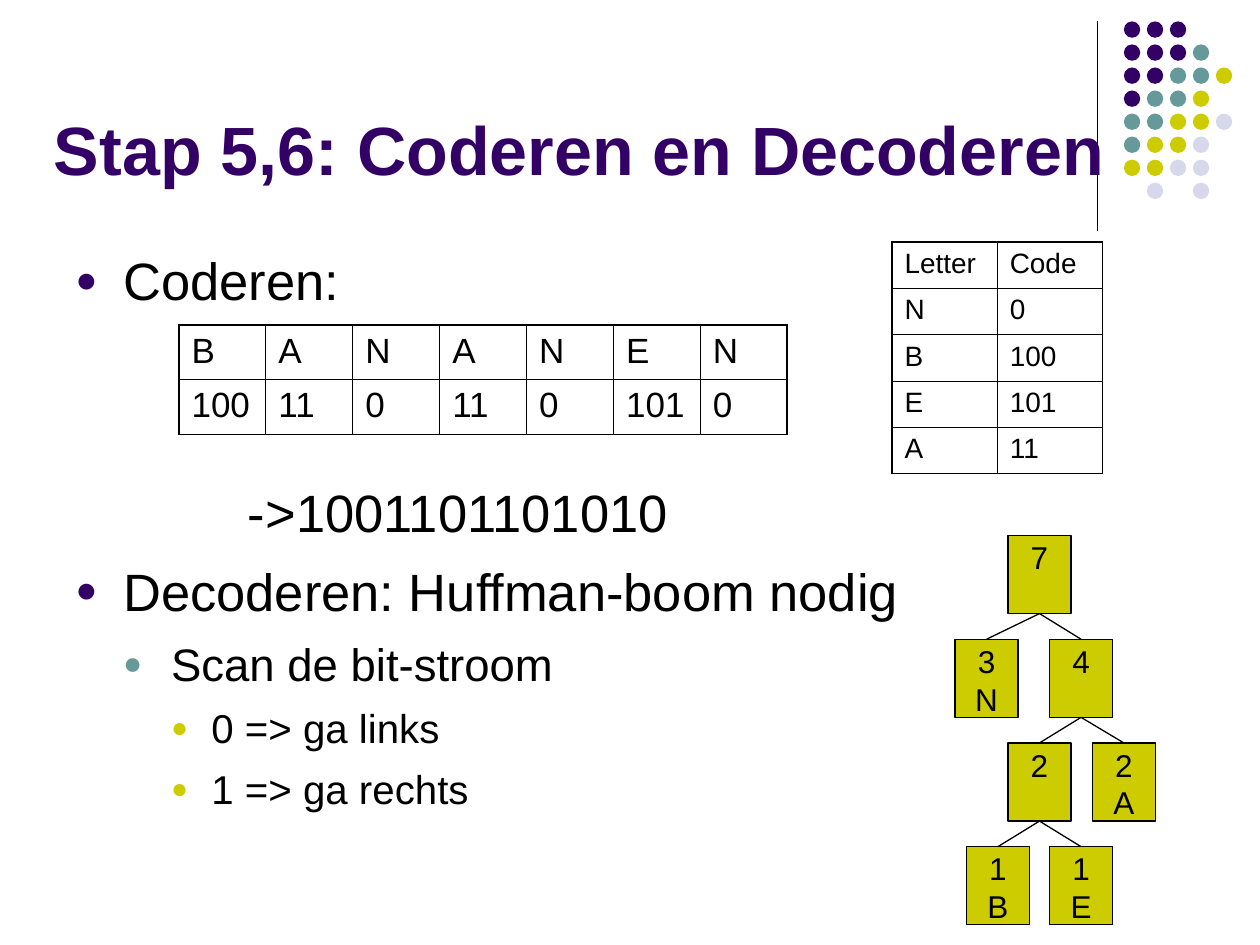
from lxml.etree import SubElement
from pptx import Presentation
from pptx.dml.color import RGBColor
from pptx.enum.shapes import MSO_CONNECTOR, MSO_SHAPE
from pptx.enum.text import MSO_ANCHOR, PP_ALIGN
from pptx.oxml.ns import qn
from pptx.util import Inches, Pt

PURPLE, TEAL, OLIVE, PALE, BLACK = "330066", "669999", "CCCC00", "D8D8EC", "000000"


def color(value):
    return RGBColor.from_string(value)


def box(left, top, width, height):
    return [Inches(v) for v in (left, top, width, height)]


def apply_format(target, values):
    for name, value in values.items():
        setattr(target, name, value)


def write(paragraph, text, size, ink=BLACK, bold=False):
    run = paragraph.add_run()
    run.text = text
    apply_format(run.font, {"name": "Arial", "size": Pt(size), "bold": bold})
    run.font.color.rgb = color(ink)


def add_line(slide, start, end):
    line = slide.shapes.add_connector(
        MSO_CONNECTOR.STRAIGHT, *[Inches(v) for v in (*start, *end)])
    line.line.color.rgb = color(BLACK)
    line.line.width = Pt(0.75)
    SubElement(line._element.spPr, qn("a:effectLst"))
    return line


def add_dots(slide, left, top, width, height):
    """Dot grid; each letter is the colour of one dot."""
    inks = {"P": PURPLE, "T": TEAL, "O": OLIVE, "L": PALE}
    rows = ["PPP", "PPPT", "PPTTO", "PTTO", "TTOOL", "TOOL", "OOLL", " L L"]
    size = 0.13
    step_x, step_y = (width - size) / 4, (height - size) / 7
    for r, row in enumerate(rows):
        for c, key in enumerate(row):
            if key == " ":
                continue
            dot = slide.shapes.add_shape(
                MSO_SHAPE.OVAL,
                *box(left + c * step_x, top + r * step_y, size, size))
            dot.shadow.inherit = False
            dot.fill.solid()
            dot.fill.fore_color.rgb = color(inks[key])
            dot.line.fill.background()


def add_title(slide, area):
    frame = slide.shapes.add_textbox(*box(*area)).text_frame
    apply_format(frame, {"word_wrap": True, "vertical_anchor": MSO_ANCHOR.BOTTOM})
    write(frame.paragraphs[0], "Stap 5,6: Coderen en Decoderen", 39, PURPLE, True)


def add_body(slide, area):
    # text, size, left margin, hanging indent, space before, bullet colour
    lines = [
        ("Coderen:", 30, 0.38, 0.38, 0, PURPLE),
        ("->1001101101010", 30, 1.37, 0, 96.4, None),
        ("Decoderen: Huffman-boom nodig", 30, 0.38, 0.38, 9, PURPLE),
        ("Scan de bit-stroom", 26, 0.76, 0.38, 8.4, TEAL),
        ("0 => ga links", 23, 1.08, 0.32, 7.3, OLIVE),
        ("1 => ga rechts", 23, 1.08, 0.32, 7.3, OLIVE),
    ]
    frame = slide.shapes.add_textbox(*box(*area)).text_frame
    frame.word_wrap = True
    for i, (text, size, margin, hanging, before, bullet) in enumerate(lines):
        paragraph = frame.add_paragraph() if i else frame.paragraphs[0]
        paragraph.space_before = Pt(before)
        props = paragraph._p.get_or_add_pPr()
        props.set("marL", str(Inches(margin)))
        props.set("indent", str(-Inches(hanging)))
        if bullet:
            ink = SubElement(props, qn("a:buClr"))
            SubElement(ink, qn("a:srgbClr"), val=bullet)
            SubElement(props, qn("a:buSzPct"), val="70000")
            SubElement(props, qn("a:buFont"), typeface="Arial")
            SubElement(props, qn("a:buChar"), char="●")
        write(paragraph, text, size)


def add_borders(cell, outer):
    props = cell._tc.get_or_add_tcPr()
    for side, is_outer in outer.items():
        edge = SubElement(props, qn("a:ln" + side), w=str(Pt(1.08 if is_outer else 0.45)))
        SubElement(SubElement(edge, qn("a:solidFill")), qn("a:srgbClr"), val=BLACK)


def add_grid(slide, area, rows, size):
    """Table of equal cells, with a heavier outer border."""
    last_row, last_col = len(rows) - 1, len(rows[0]) - 1
    table = slide.shapes.add_table(len(rows), len(rows[0]), *box(*area)).table
    apply_format(table, {"first_row": False, "horz_banding": False})
    for r, row in enumerate(rows):
        for c, text in enumerate(row):
            cell = table.cell(r, c)
            add_borders(cell, {"L": c == 0, "R": c == last_col,
                               "T": r == 0, "B": r == last_row})
            cell.fill.background()
            write(cell.text_frame.paragraphs[0], text, size)


def add_node(slide, area, labels):
    node = slide.shapes.add_shape(MSO_SHAPE.RECTANGLE, *box(*area))
    node.shadow.inherit = False
    node.fill.solid()
    node.fill.fore_color.rgb = color(OLIVE)
    node.line.color.rgb = color(BLACK)
    node.line.width = Pt(0.75)
    frame = node.text_frame
    apply_format(frame, {"word_wrap": False, "vertical_anchor": MSO_ANCHOR.TOP,
                         "margin_top": Inches(0.02), "margin_bottom": 0})
    for i, label in enumerate(labels):
        paragraph = frame.add_paragraph() if i else frame.paragraphs[0]
        paragraph.alignment = PP_ALIGN.CENTER
        write(paragraph, label, 18)
    return node


def add_tree(slide, left, top, width, height):
    """Huffman tree: name -> (offset from left, level, labels)."""
    node_w, node_h = 0.5, 0.62
    step = (height - node_h) / 3
    plan = {
        "root": (0.42, 0, "7"),
        "N": (0, 1, "3N"),
        "ABE": (0.75, 1, "4"),
        "BE": (0.42, 2, "2"),
        "A": (width - node_w, 2, "2A"),
        "B": (0.09, 3, "1B"),
        "E": (0.75, 3, "1E"),
    }
    nodes = {name: add_node(slide, (left + x, top + level * step, node_w, node_h), labels)
             for name, (x, level, labels) in plan.items()}
    children = {"root": ("N", "ABE"), "ABE": ("BE", "A"), "BE": ("B", "E")}
    for parent, pair in children.items():
        for child in pair:
            branch = add_line(slide, (left, top), (left, top))
            branch.begin_connect(nodes[parent], 2)
            branch.end_connect(nodes[child], 0)


def main():
    prs = Presentation()
    prs.slide_width, prs.slide_height = Inches(10), Inches(7.5)
    slide = prs.slides.add_slide(prs.slide_layouts[6])

    # Corner decoration
    add_line(slide, (8.71, 0.17), (8.71, 1.83))
    add_dots(slide, 8.92, 0.17, 0.86, 1.41)

    # Text
    add_title(slide, (0.33, 0.13, 8.92, 1.42))
    add_body(slide, (0.5, 1.92, 9, 4.82))

    # Encoded word and code table
    add_grid(slide, (1.42, 2.58, 4.83, 0.87),
             [list("BANANEN"), ["100", "11", "0", "11", "0", "101", "0"]], 20)
    add_grid(slide, (7.08, 1.92, 1.67, 1.84),
             [("Letter", "Code"), ("N", "0"), ("B", "100"), ("E", "101"), ("A", "11")], 16)

    add_tree(slide, 7.58, 4.25, 1.59, 3.09)
    prs.save("out.pptx")


if __name__ == "__main__":
    main()
